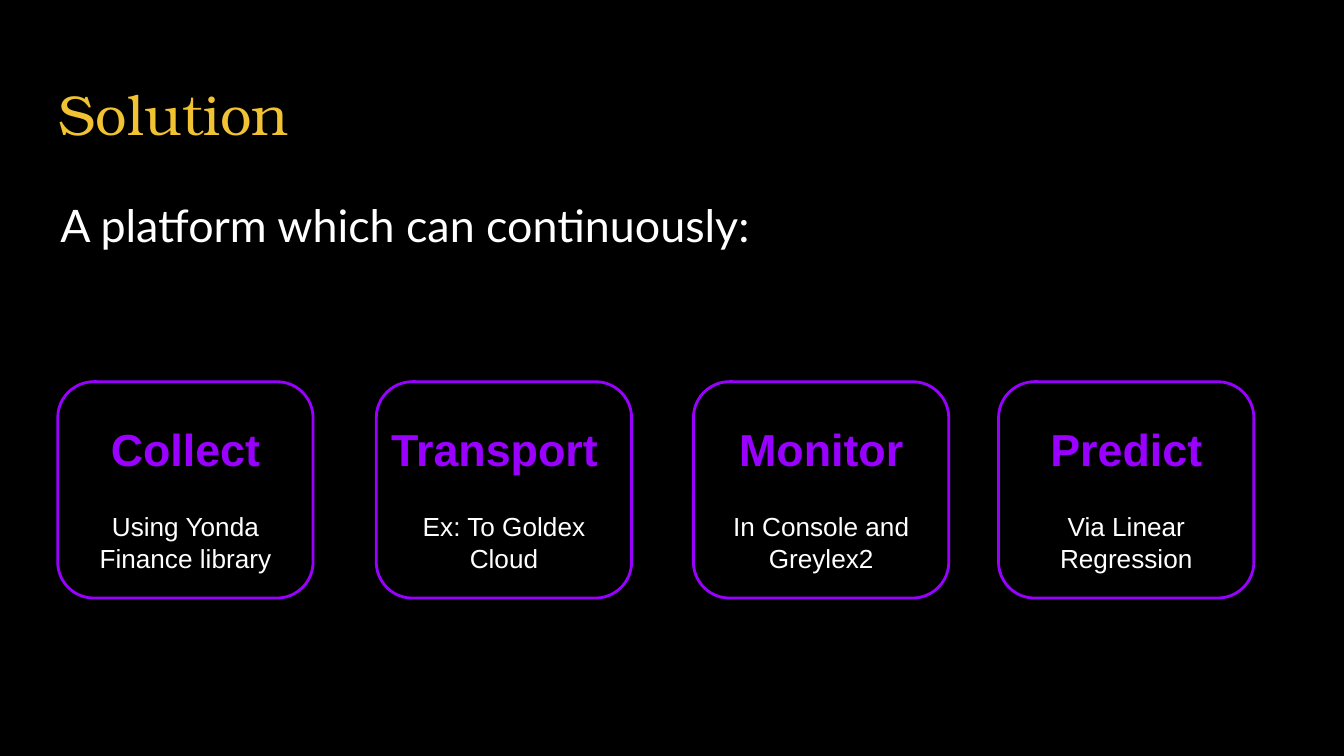
from pptx import Presentation
from pptx.dml.color import RGBColor
from pptx.enum.shapes import MSO_SHAPE
from pptx.enum.text import MSO_ANCHOR, PP_ALIGN
from pptx.util import Inches, Pt

BLACK, WHITE, GOLD, PURPLE = "000000", "FFFFFF", "F1C232", "9900FF"
CARD_TOP, CARD_W, CARD_H = 2.84, 1.9, 1.61
LABEL_W, INSET = 1.62, 0.14
STEPS = [
    (0.43, "Collect", "Using Yonda Finance library", 0),
    (2.8, "Transport", "Ex: To Goldex Cloud", INSET),
    (5.16, "Monitor", "In Console and Greylex2", 0),
    (7.43, "Predict", "Via Linear Regression", 0),
]


def color(value):
    return RGBColor.from_string(value)


def write(tf, text, size=14, font="Arial", fill=WHITE, bold=False,
          align=PP_ALIGN.LEFT, spacing=1.0, after=0):
    p = tf.paragraphs[0]
    p.alignment, p.line_spacing, p.space_after = align, spacing, Pt(after)
    r = p.add_run()
    r.text = text
    r.font.size, r.font.name, r.font.bold = Pt(size), font, bold
    r.font.color.rgb = color(fill)


class SlideBuilder:
    """Holds the style and the current slide, and adds its elements."""

    def __init__(self, prs, background=BLACK, accent=PURPLE):
        self.s = prs.slides.add_slide(prs.slide_layouts[6])
        self.accent = accent
        self.s.background.fill.solid()
        self.s.background.fill.fore_color.rgb = color(background)

    def text(self, x, y, w, h, text, **style):
        sp = self.s.shapes.add_textbox(Inches(x), Inches(y), Inches(w), Inches(h))
        tf = sp.text_frame
        tf.word_wrap = True
        tf.vertical_anchor = MSO_ANCHOR.TOP
        tf.margin_left = tf.margin_right = Inches(0.1)
        tf.margin_top = tf.margin_bottom = Inches(0.1)
        write(tf, text, **style)

    def frame(self, x, y, w, h):
        sp = self.s.shapes.add_shape(MSO_SHAPE.ROUNDED_RECTANGLE,
                                     Inches(x), Inches(y), Inches(w), Inches(h))
        sp.shadow.inherit = False
        sp.fill.background()
        sp.line.color.rgb = color(self.accent)
        sp.line.width = Pt(1.5)

    def card(self, x, heading, detail, extra):
        left = x + INSET
        self.frame(x, CARD_TOP, CARD_W, CARD_H)
        self.text(left - extra, 3.04, LABEL_W + extra, 0.66, heading, size=24,
                  fill=self.accent, bold=True, align=PP_ALIGN.CENTER)
        self.text(left, 3.7, LABEL_W, 0.62, detail, align=PP_ALIGN.CENTER)


def main():
    prs = Presentation()
    prs.slide_width = Inches(10)
    prs.slide_height = prs.slide_width * 9 // 16
    slide = SlideBuilder(prs)
    slide.text(0.34, 0.49, 9.32, 0.63, "Solution",
               size=30, font="TeX Gyre Bonum", fill=GOLD)
    slide.text(0.35, 1.31, 7.22, 1.33, "A platform which can continuously:",
               size=24, font="Lato", spacing=1.15, after=16)
    for step in STEPS:
        slide.card(*step)
    prs.save("out.pptx")


if __name__ == "__main__":
    main()
